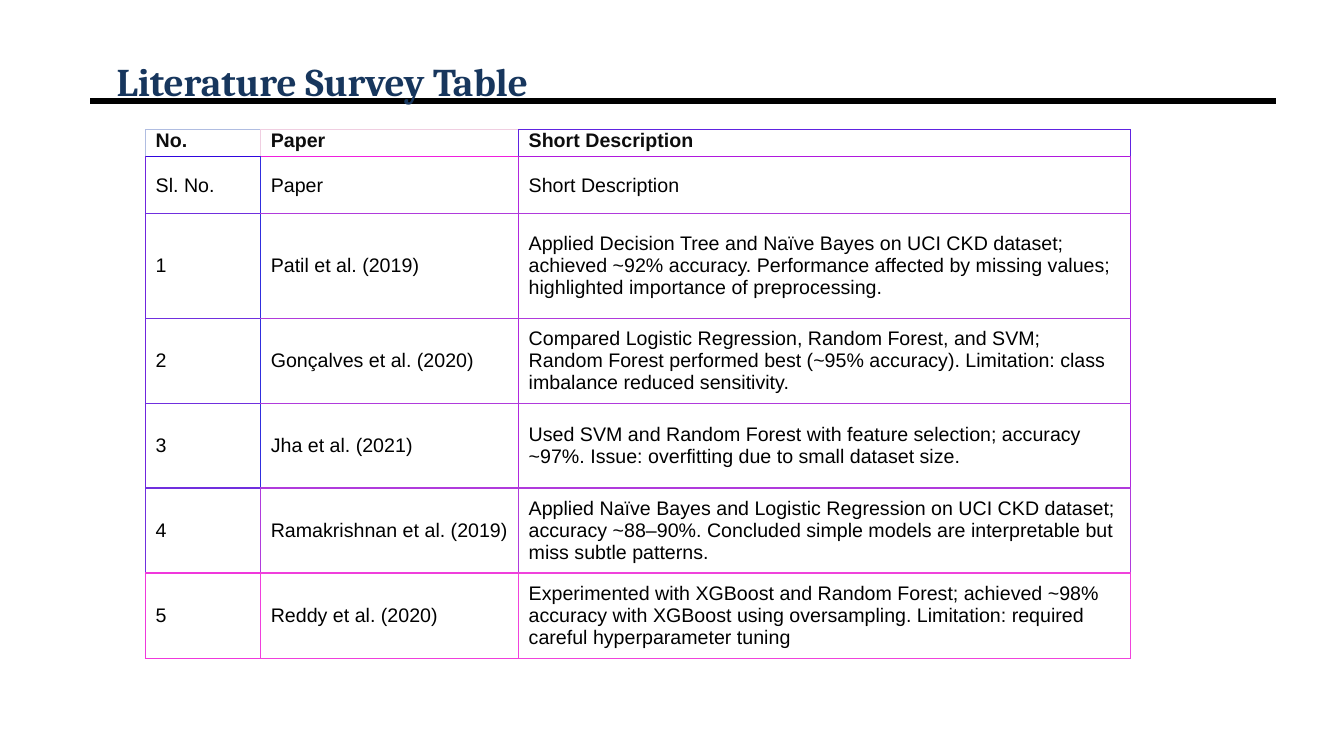
"""Build the literature survey slide with its title, rule and bordered table."""
from lxml import etree
from pptx import Presentation
from pptx import util as u
from pptx.dml import color
from pptx.enum import shapes, text
from pptx.oxml import ns

HUES = {
    "navy": "17365D", "black": "000000", "ink": "0D0D0D", "white": "FFFFFF",
    "mist": "B0BDE1", "blush": "F0CEE1", "iris": "6023E1",
    "grape": "7025DE", "blue": "302EDE", "plum": "B028DE",
    "violet": "702FDE", "mauve": "B03BDC", "orchid": "B03ADC",
    "pink": "F038DC", "rose": "F03FDC", "candy": "F043DC",
    "royal": "3006DE", "neon": "F01FDE", "purple": "B018DE",
}
ROWS = [
    ("No.", "Paper", "Short Description"),
    ("Sl. No.", "Paper", "Short Description"),
    ("1", "Patil et al. (2019)",
     "Applied Decision Tree and Naïve Bayes on UCI CKD dataset; achieved ~92% accuracy. "
     "Performance affected by missing values; highlighted importance of preprocessing."),
    ("2", "Gonçalves et al. (2020)",
     "Compared Logistic Regression, Random Forest, and SVM; Random Forest performed best "
     "(~95% accuracy). Limitation: class imbalance reduced sensitivity."),
    ("3", "Jha et al. (2021)",
     "Used SVM and Random Forest with feature selection; accuracy ~97%. "
     "Issue: overfitting due to small dataset size."),
    ("4", "Ramakrishnan et al. (2019)",
     "Applied Naïve Bayes and Logistic Regression on UCI CKD dataset; accuracy ~88–90%. "
     "Concluded simple models are interpretable but miss subtle patterns."),
    ("5", "Reddy et al. (2020)",
     "Experimented with XGBoost and Random Forest; achieved ~98% accuracy with XGBoost "
     "using oversampling. Limitation: required careful hyperparameter tuning"),
]
WIDTHS = [2.9, 6.5, 15.41]
HEIGHTS = [0.56, 1.44, 2.63] + [2.14] * 4
UPRIGHT = [
    ("mist", "blush", "iris", "iris"),
    *[("grape", "blue", "plum", "plum")] * 4,
    ("violet", "mauve", "orchid", "orchid"),
    ("pink", "rose", "candy", "candy"),
]
LEVEL = [
    ("mist", "blush", "iris"),
    ("royal", "neon", "purple"),
    *[("violet", "mauve", "orchid")] * 4,
    *[("pink", "rose", "candy")] * 2,
]


def write(para, words, hue, **form):
    """Add a run of words with the given font values."""
    run = para.add_run()
    run.text = words
    run.font.color.rgb = color.RGBColor.from_string(HUES[hue])
    for key, value in form.items():
        setattr(run.font, key, value)


def edge(cell, side, hue, points):
    """Draw one border of a cell."""
    line = etree.SubElement(cell._tc.get_or_add_tcPr(), ns.qn("a:ln" + side), w=str(u.Pt(points)))
    fill = etree.SubElement(line, ns.qn("a:solidFill"))
    etree.SubElement(fill, ns.qn("a:srgbClr"), val=HUES[hue])


deck = Presentation()
deck.slide_width, deck.slide_height = u.Cm(33.87), u.Cm(19.05)
slide = deck.slides.add_slide(deck.slide_layouts[6])

rule = slide.shapes.add_connector(
    shapes.MSO_CONNECTOR.STRAIGHT, u.Cm(2.27), u.Cm(2.55), u.Cm(32.15), u.Cm(2.55))
rule.line.width = u.Pt(4.5)
rule.line.color.rgb = color.RGBColor.from_string(HUES["black"])
etree.SubElement(rule._element.spPr, ns.qn("a:effectLst"))

title = slide.shapes.add_textbox(u.Cm(2.27), u.Cm(0.76), u.Cm(29.64), u.Cm(1.35))
frame = title.text_frame
frame.word_wrap = True
frame.vertical_anchor = text.MSO_ANCHOR.MIDDLE
head = frame.paragraphs[0]
head.line_spacing = 2.0
head._p.get_or_add_pPr().set("marL", str(u.Cm(0.42)))
write(head, "Literature Survey Table", "navy", name="Cambria", size=u.Pt(28), bold=True)

grid = slide.shapes.add_table(
    len(ROWS), len(WIDTHS), u.Cm(3.67), u.Cm(3.27), u.Cm(sum(WIDTHS)), u.Cm(sum(HEIGHTS))).table
grid.first_row = grid.horz_banding = False
for col, width in zip(grid.columns, WIDTHS):
    col.width = u.Cm(width)
for row, height in zip(grid.rows, HEIGHTS):
    row.height = u.Cm(height)

for r, row in enumerate(ROWS):
    top = r == 0
    for c, words in enumerate(row):
        cell = grid.cell(r, c)
        edge(cell, "L", UPRIGHT[r][c], 1)
        edge(cell, "R", UPRIGHT[r][c + 1], 1)
        edge(cell, "T", LEVEL[r][c], 1)
        edge(cell, "B", LEVEL[r + 1][c], 0.5 if r == len(ROWS) - 1 else 1)
        cell.fill.solid()
        cell.fill.fore_color.rgb = color.RGBColor.from_string(HUES["white"])
        cell.vertical_anchor = text.MSO_ANCHOR.BOTTOM if top else text.MSO_ANCHOR.MIDDLE
        para = cell.text_frame.paragraphs[0]
        if top:
            para.line_spacing = u.Pt(12)
        write(para, words, "ink" if top else "black", name="Arial", size=u.Pt(14), bold=top)

deck.save("out.pptx")
